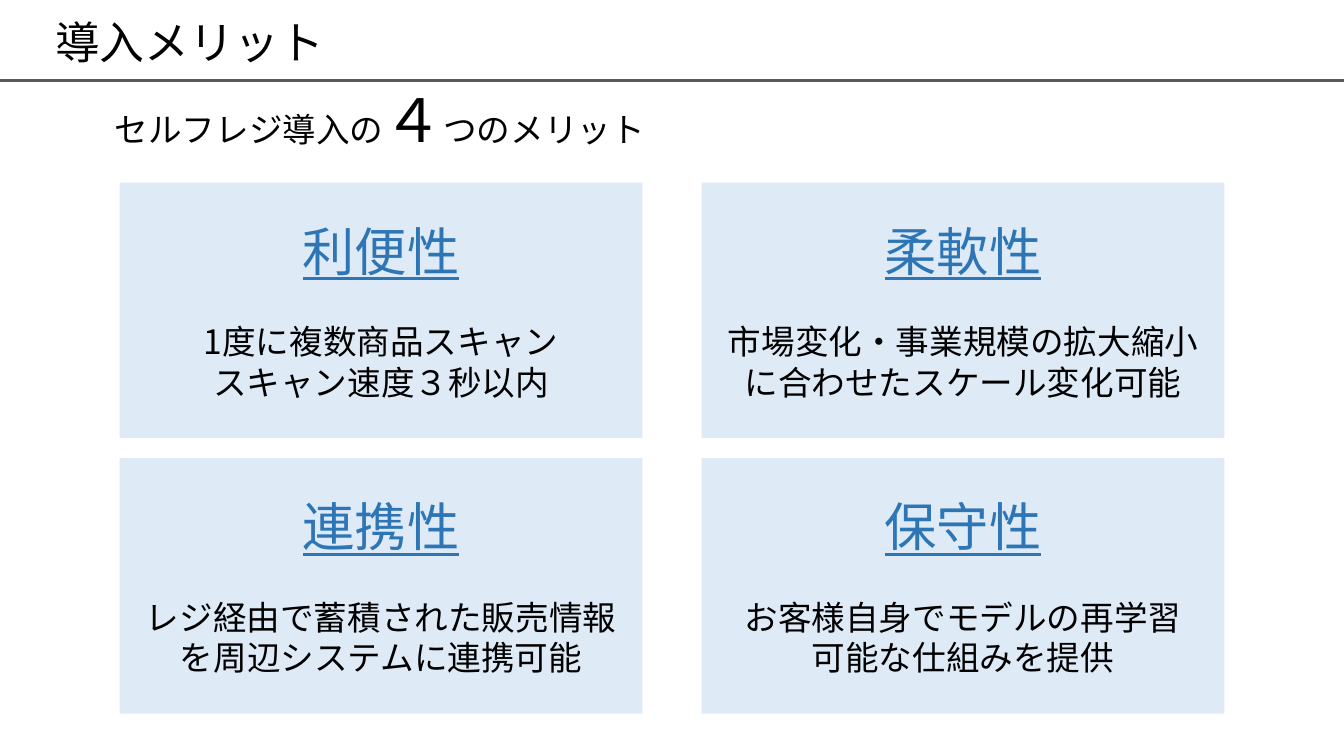
"""Build a slide on the four merits of introducing self-checkout."""
import pptx
import pptx.dml.color
import pptx.enum.shapes
import pptx.enum.text
import pptx.oxml
import pptx.oxml.ns
import pptx.util

Inches, Pt = pptx.util.Inches, pptx.util.Pt
ALIGN = pptx.enum.text.PP_ALIGN
MIDDLE = pptx.enum.text.MSO_ANCHOR.MIDDLE
NO_FIT = pptx.enum.text.MSO_AUTO_SIZE.NONE

HEADLINE = "導入メリット"
LEAD = [("セルフレジ導入の", "body"), ("４", "number"), ("つのメリット", "body")]
MERITS = [
    ("利便性", ["1度に複数商品スキャン", "スキャン速度３秒以内"]),
    ("柔軟性", ["市場変化・事業規模の拡大縮小", "に合わせたスケール変化可能"]),
    ("連携性", ["レジ経由で蓄積された販売情報", "を周辺システムに連携可能"]),
    ("保守性", ["お客様自身でモデルの再学習", "可能な仕組みを提供"]),
]

THEME = {
    "font": "Noto Sans CJK JP",
    "text": "000000",
    "accent": "2E75B6",
    "card": "DEEBF7",
    "rule": "595959",
    "title": 24,
    "body": 18,
    "number": 32,
    "heading": 28,
}
SLIDE_WIDTH = Inches(10)
SLIDE_HEIGHT = SLIDE_WIDTH * 9 // 16
GRID = {"left": 0.89, "top": 1.36, "width": 3.89, "height": 1.9,
        "step_x": 4.33, "step_y": 2.05, "columns": 2}
BODY_LINE, HEADING_LINE = Pt(21.5), Pt(33.5)


def color(role):
    return pptx.dml.color.RGBColor.from_string(THEME[role])


def apply(target, values):
    for name, value in values.items():
        setattr(target, name, value)


def add_run(paragraph, text, size, role="text", underline=False):
    run = paragraph.add_run()
    run.text = text
    apply(run.font, {"name": THEME["font"], "size": Pt(THEME[size]),
                     "underline": underline})
    run.font.color.rgb = color(role)
    east_asian = pptx.oxml.parse_xml(
        f'<a:ea {pptx.oxml.ns.nsdecls("a")} typeface="{THEME["font"]}"/>')
    run.font._element.find(pptx.oxml.ns.qn("a:latin")).addnext(east_asian)


def add_rule(slide):
    rule = slide.shapes.add_connector(
        pptx.enum.shapes.MSO_CONNECTOR.STRAIGHT,
        Inches(-0.01), Inches(0.6), SLIDE_WIDTH, Inches(0.6))
    rule.line.color.rgb = color("rule")
    rule.line.width = Pt(1.5)
    rule._element.spPr.append(
        pptx.oxml.parse_xml(f'<a:effectLst {pptx.oxml.ns.nsdecls("a")}/>'))


def add_title(slide):
    title = slide.shapes.title
    apply(title, {"left": Inches(0.31), "top": Inches(0.08),
                  "width": Inches(8.62), "height": Inches(0.51)})
    apply(title.text_frame, {"vertical_anchor": MIDDLE, "auto_size": NO_FIT})
    paragraph = title.text_frame.paragraphs[0]
    apply(paragraph, {"alignment": ALIGN.LEFT, "line_spacing": 0.9})
    add_run(paragraph, HEADLINE, "title")


def add_lead(slide):
    lead = slide.shapes.add_textbox(
        Inches(0.75), Inches(0.56), Inches(4.15), Inches(0.64))
    apply(lead.text_frame, {"vertical_anchor": MIDDLE, "word_wrap": False})
    paragraph = lead.text_frame.paragraphs[0]
    paragraph.alignment = ALIGN.CENTER
    for text, size in LEAD:
        add_run(paragraph, text, size)


def add_card(slide, index, heading, lines):
    row, column = divmod(index, GRID["columns"])
    card = slide.shapes.add_shape(
        pptx.enum.shapes.MSO_SHAPE.RECTANGLE,
        Inches(GRID["left"] + column * GRID["step_x"]),
        Inches(GRID["top"] + row * GRID["step_y"]),
        Inches(GRID["width"]), Inches(GRID["height"]))
    card.shadow.inherit = False
    card.fill.solid()
    card.fill.fore_color.rgb = color("card")
    card.line.fill.background()
    frame = card.text_frame
    apply(frame, {"vertical_anchor": MIDDLE, "word_wrap": True})
    paragraph = frame.paragraphs[0]
    apply(paragraph, {"alignment": ALIGN.CENTER, "line_spacing": HEADING_LINE,
                      "space_after": BODY_LINE})
    add_run(paragraph, heading, "heading", "accent", True)
    for line in lines:
        paragraph = frame.add_paragraph()
        apply(paragraph, {"alignment": ALIGN.CENTER, "line_spacing": BODY_LINE})
        add_run(paragraph, line, "body")


def main():
    deck = pptx.Presentation()
    apply(deck, {"slide_width": SLIDE_WIDTH, "slide_height": SLIDE_HEIGHT})
    slide = deck.slides.add_slide(deck.slide_layouts.get_by_name("Title Only"))
    add_rule(slide)
    add_title(slide)
    add_lead(slide)
    for index, (heading, lines) in enumerate(MERITS):
        add_card(slide, index, heading, lines)
    deck.save("out.pptx")


if __name__ == "__main__":
    main()
